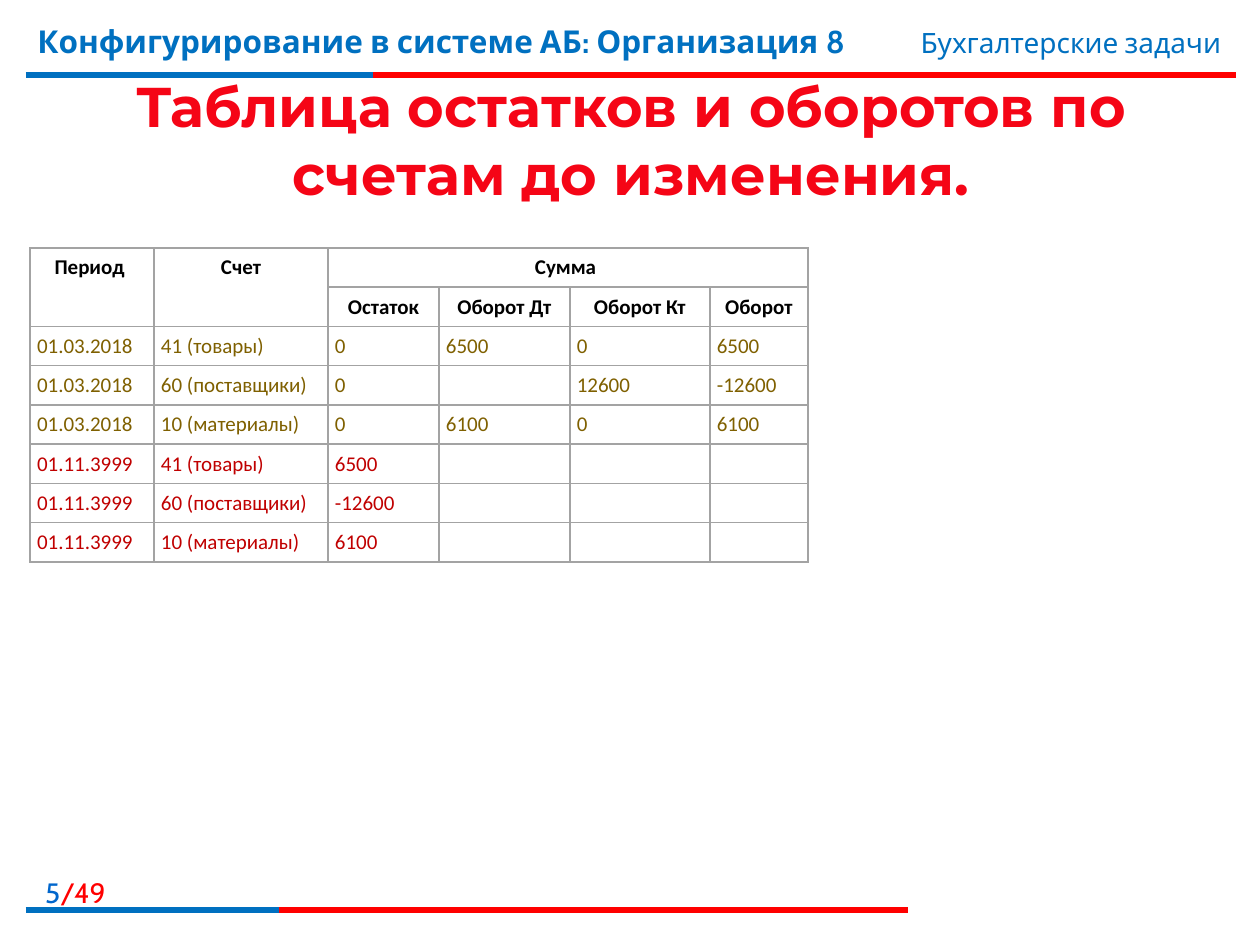
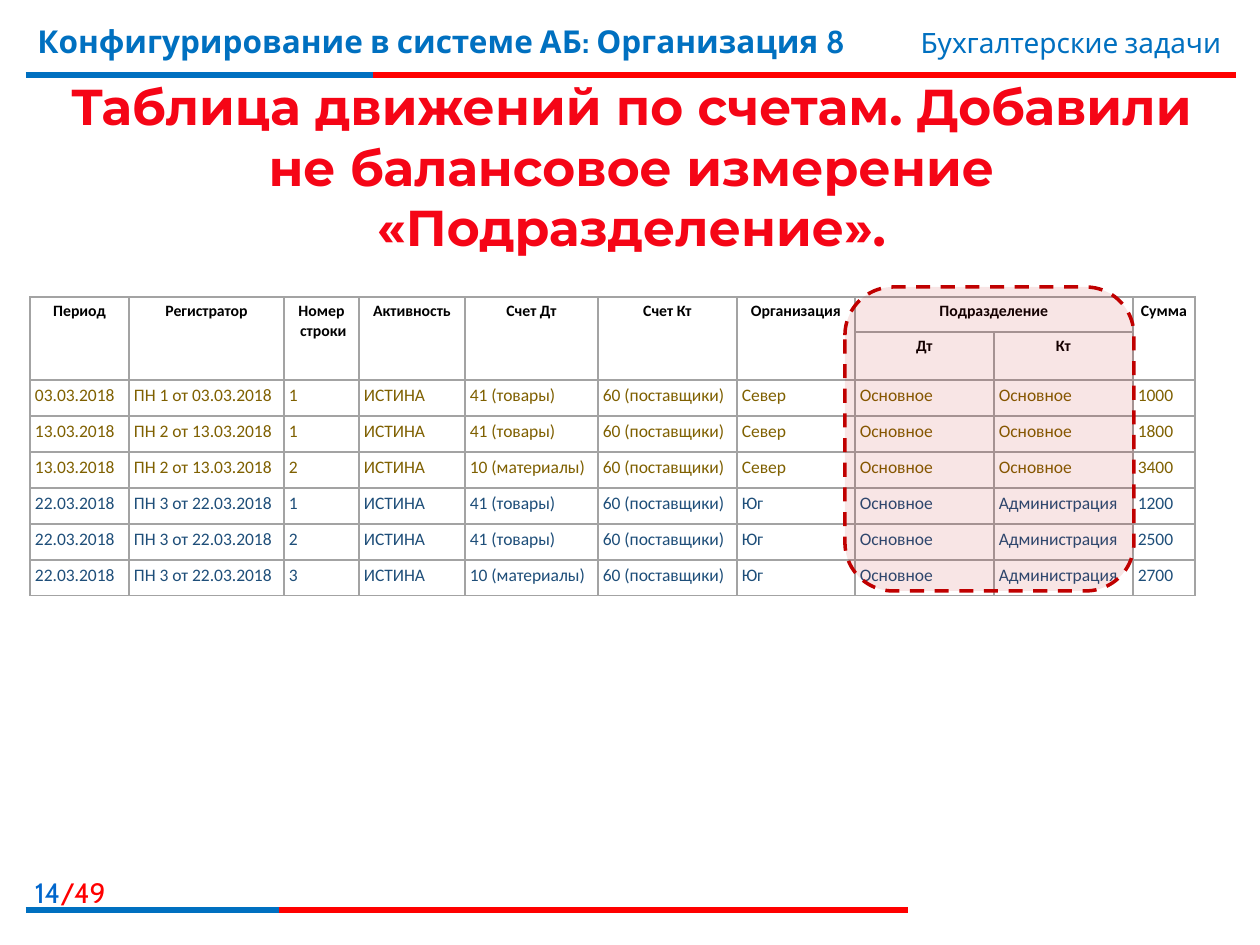
from lxml import etree
from pptx import Presentation
from pptx import util as u
from pptx.dml.color import RGBColor
from pptx.enum import dml, shapes, text
from pptx.oxml import ns

PX = 914400 / 126  # EMU in one px
INK = {
    "blue": "0070C0", "page": "0066CC", "red": "FF0000", "title": "F50516",
    "grid": "A3A3A3", "black": "000000", "gold": "7F6000", "wine": "C00000",
    "navy": "1E4E79",
}
LEFT, MID, RIGHT = text.PP_ALIGN.LEFT, text.PP_ALIGN.CENTER, text.PP_ALIGN.RIGHT


def emu(*px):
    return [u.Emu(round(n * PX)) for n in px]


def rgb(name):
    return RGBColor.from_string(INK[name])


def sub(node, tag, **attrs):
    return etree.SubElement(node, ns.qn(tag), **attrs)


class Deck:
    def __init__(self):
        self.prs = Presentation()
        self.prs.slide_width, self.prs.slide_height = emu(1260, 945)
        self.slide = None

    def style(self, par, face, size, ink, bold=False, align=LEFT):
        par.alignment = align
        font = par.font
        font.name, font.size, font.bold = face, u.Pt(size), bold
        font.color.rgb = rgb(ink)

    def line(self, x1, x2, y, ink):
        rule = self.slide.shapes.add_connector(
            shapes.MSO_CONNECTOR.STRAIGHT, *emu(x1, y, x2, y))
        rule.line.color.rgb = rgb(ink)
        rule.line.width = u.Pt(3)
        sub(rule._element.spPr, "a:effectLst")

    def label(self, box, words, size, ink, bold=False, align=LEFT):
        frame = self.slide.shapes.add_textbox(*emu(*box)).text_frame
        frame.word_wrap = True
        par = frame.paragraphs[0]
        par.text = words
        self.style(par, "Cabin", size, ink, bold, align)
        return par

    def page(self, num, title, high, size):
        """Start a slide with its title, header and footer."""
        self.slide = self.prs.slides.add_slide(self.prs.slide_layouts[5])
        # Title
        head = self.slide.shapes.title
        head.left, head.top, head.width, head.height = emu(26, 79, 1211, high)
        frame = head.text_frame
        frame.text = title
        frame.word_wrap = True
        frame.auto_size = text.MSO_AUTO_SIZE.NONE
        frame.vertical_anchor = text.MSO_ANCHOR.MIDDLE
        self.style(frame.paragraphs[0], "Montserrat", size, "title", True, MID)
        # Header and footer rules: blue part over red
        for y, split, end in ((75, 373, 1236), (910, 279, 908)):
            self.line(26, end, y, "red")
            self.line(26, split, y, "blue")
        # Header and footer text
        self.label((25, 16, 932, 78),
                   "Конфигурирование в системе АБ: Организация 8", 18, "blue", True)
        self.label((748, 19, 486, 47), "Бухгалтерские задачи", 16, "blue", align=RIGHT)
        par = self.label((0, 869, 118, 40), str(num), 16, "page", align=RIGHT)
        total = par.add_run()
        total.text = "/49"
        total.font.color.rgb = rgb("red")

    def cell(self, cell, words, pad, size, ink, bold, align):
        cell.margin_left, cell.margin_top, cell.margin_right, cell.margin_bottom = emu(*[pad] * 4)
        cell.text_frame.text = words
        for par in cell.text_frame.paragraphs:
            self.style(par, "Calibri", size, ink, bold, align)
            if not words:
                sub(par._p, "a:endParaRPr", sz=str(size * 100))
        # Borders come before the fill in the cell properties
        props = cell._tc.get_or_add_tcPr()
        for side in ("lnL", "lnR", "lnT", "lnB"):
            edge = sub(props, f"a:{side}", w=str(u.Pt(1)))
            sub(sub(edge, "a:solidFill"), "a:srgbClr", val=INK["grid"])
        cell.fill.background()

    def table(self, x, y, cols, rows, pad, sizes, head, body, spans):
        """Draw header rows, then (ink, rows) groups of body rows."""
        grid = [("black", row) for row in head]
        grid += [(ink, row) for ink, group in body for row in group]
        tab = self.slide.shapes.add_table(
            len(rows), len(cols), *emu(x, y, sum(cols), sum(rows))).table
        tab.first_row = tab.horz_banding = False
        for col, wide in zip(tab.columns, emu(*cols)):
            col.width = wide
        for row, high in zip(tab.rows, emu(*rows)):
            row.height = high
        for r, (ink, row) in enumerate(grid):
            top = r < len(head)
            for c, words in enumerate(row):
                self.cell(tab.cell(r, c), words, pad, sizes[0 if top else 1],
                          ink, top, MID if top else LEFT)
        for r1, c1, r2, c2 in spans:
            tab.cell(r1, c1).merge(tab.cell(r2, c2))

    def mark(self, box, ink, alpha):
        """Draw a dashed, see-through rounded frame."""
        ring = self.slide.shapes.add_shape(
            shapes.MSO_SHAPE.ROUNDED_RECTANGLE, *emu(*box))
        ring.shadow.inherit = False
        ring.fill.solid()
        ring.fill.fore_color.rgb = rgb(ink)
        tint = ring._element.spPr.find(ns.qn("a:solidFill"))[0]
        sub(tint, "a:alpha", val=str(alpha * 1000))
        ring.line.color.rgb = rgb(ink)
        ring.line.width = u.Pt(2)
        ring.line.dash_style = dml.MSO_LINE.DASH


def totals(deck):
    """Balances and turnovers by account."""
    deck.page(5, "Таблица остатков и оборотов по счетам до изменения.", 120, 32)
    goods, owed, stock = "41 (товары)", "60 (поставщики)", "10 (материалы)"
    head = [
        ["Период ", "Счет", "Сумма ", "", "", ""],
        ["", "", "Остаток", "Оборот Дт", "Оборот Кт", "Оборот"],
    ]
    march = [
        ["01.03.2018", goods, "0", "6500", "0", "6500"],
        ["01.03.2018", owed, "0", "", "12600", "-12600"],
        ["01.03.2018", stock, "0", "6100", "0", "6100"],
    ]
    final = [["01.11.3999", name, rest, "", "", ""] for name, rest in
             ((goods, "6500"), (owed, "-12600"), (stock, "6100"))]
    deck.table(30, 248, [124, 174, 111, 131, 140, 98], [39] * 8, 7, (12, 12),
               head, [("gold", march), ("wine", final)],
               [(0, 0, 1, 0), (0, 1, 1, 1), (0, 2, 0, 5)])


def moves(deck):
    """Account movements with the added dimension."""
    deck.page(14, "Таблица движений по счетам. Добавили не балансовое "
                  "измерение «Подразделение».", 174, 28.8)
    head = [
        ["Период", "Регистратор", "Номер\n строки", "Активность", "Счет Дт",
         "Счет Кт", "Организация", "Подразделение", "", "Сумма"],
        [""] * 7 + ["Дт", "Кт", ""],
    ]

    def entry(date, doc, num, debit, firm, unit, total):
        return [date, f"ПН {doc} от {date}", str(num), "ИСТИНА", debit,
                "60 (поставщики)", firm, "Основное", unit, str(total)]

    goods, stock = "41 (товары)", "10 (материалы)"
    north = [entry(date, doc, num, debit, "Север", "Основное", total)
             for date, doc, num, debit, total in (
                 ("03.03.2018", 1, 1, goods, 1000),
                 ("13.03.2018", 2, 1, goods, 1800),
                 ("13.03.2018", 2, 2, stock, 3400))]
    south = [entry("22.03.2018", 3, num, debit, "Юг", "Администрация", total)
             for num, debit, total in (
                 (1, goods, 1200), (2, goods, 2500), (3, stock, 2700))]
    tall = [(0, c, 1, c) for c in (*range(7), 9)]
    deck.table(30, 297, [99, 155, 75, 106, 133, 139, 118, 139, 139, 62],
               [35, 48] + [36] * 6, 5, (9, 10), head,
               [("gold", north), ("navy", south)], tall + [(0, 7, 0, 8)])
    deck.mark((845, 287, 289, 304), "wine", 10)


def main():
    deck = Deck()
    totals(deck)
    moves(deck)
    deck.prs.save("out.pptx")


if __name__ == "__main__":
    main()
